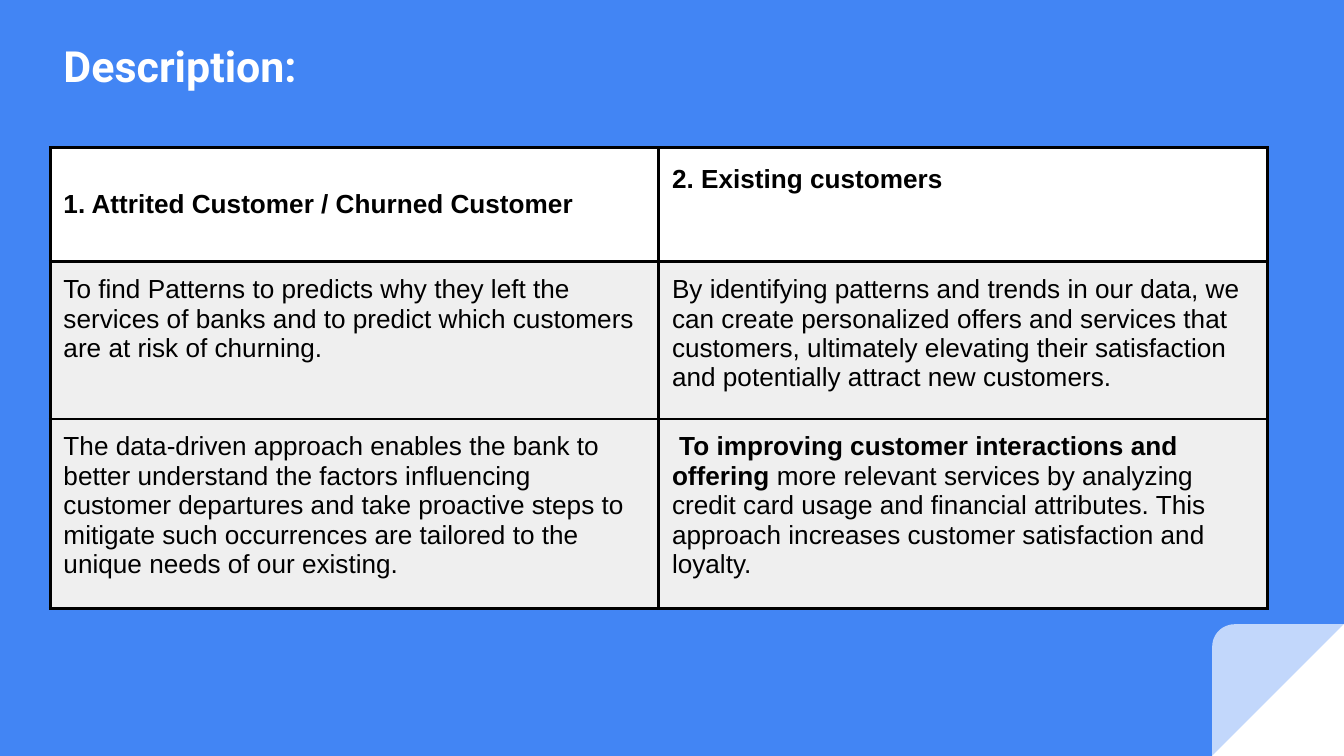
"""Build the customer description slide with its two-column table."""
from lxml import etree
from pptx import Presentation
from pptx.dml.color import RGBColor
from pptx.enum import shapes, text
from pptx.oxml import ns
from pptx.util import Cm, Pt

HUES = {"back": "4285F4", "white": "FFFFFF", "ink": "000000", "gray": "EFEFEF"}
TITLE = "Description:"
ROWS = [
    ("1. Attrited Customer / Churned Customer", "2. Existing customers"),
    ("To find Patterns to predicts why they left the services of banks and to "
     "predict which customers are at risk of churning.",
     "By identifying patterns and trends in our data, we can create personalized "
     "offers and services that customers, ultimately elevating their satisfaction "
     "and potentially attract new customers."),
    ("The data-driven approach enables the bank to better understand the factors "
     "influencing customer departures and take proactive steps to mitigate such "
     "occurrences are tailored to the unique needs of our existing.",
     [(" To improving customer interactions and offering ", True),
      ("more relevant services by analyzing credit card usage and financial "
       "attributes. This approach increases customer satisfaction and loyalty.",
       False)]),
]
WIDE, HIGH, FOLD = 25.4, 14.29, 2.49
LEFT, TOP, COL = 0.95, 2.79, 11.5
TALL = [2.16, 2.97, 3.58]
PAD = 0.25


def tint(name):
    return RGBColor.from_string(HUES[name])


def write(frame, words, font="Arial", size=14, hue="ink", bold=False, space=None):
    para = frame.paragraphs[0]
    para.alignment = text.PP_ALIGN.LEFT
    para.line_spacing = space
    for part, heavy in [(words, bold)] if isinstance(words, str) else words:
        run = para.add_run()
        run.text = part
        run.font.name, run.font.size, run.font.bold = font, Pt(size), heavy
        run.font.color.rgb = tint(hue)


def pad(box):
    box.margin_left = box.margin_right = box.margin_top = box.margin_bottom = Cm(PAD)
    box.vertical_anchor = text.MSO_ANCHOR.TOP


def edge(cell):
    props = cell._tc.get_or_add_tcPr()
    for spot, side in enumerate(("lnL", "lnR", "lnT", "lnB")):
        line = etree.Element(ns.qn("a:" + side), w=str(Pt(1.8)))
        fill = etree.SubElement(line, ns.qn("a:solidFill"))
        etree.SubElement(fill, ns.qn("a:srgbClr"), val=HUES["ink"])
        props.insert(spot, line)


def fold(slide, kind):
    part = slide.shapes.add_shape(
        kind, Cm(WIDE - FOLD), Cm(HIGH - FOLD), Cm(FOLD), Cm(FOLD))
    part.shadow.inherit = False
    part.fill.solid()
    part.fill.fore_color.rgb = tint("white")
    part.line.fill.background()
    part._element.spPr.get_or_add_xfrm().set("flipH", "1")
    return part


def main():
    deck = Presentation()
    deck.slide_width, deck.slide_height = Cm(WIDE), Cm(HIGH)
    slide = deck.slides.add_slide(deck.slide_layouts[5])
    slide.background.fill.solid()
    slide.background.fill.fore_color.rgb = tint("back")

    fold(slide, shapes.MSO_SHAPE.RIGHT_TRIANGLE)
    flap = fold(slide, shapes.MSO_SHAPE.ROUND_1_RECTANGLE)
    flap.adjustments[0] = 0.17
    shade = flap._element.spPr.find(".//" + ns.qn("a:srgbClr"))
    etree.SubElement(shade, ns.qn("a:alpha"), val="68000")

    head = slide.shapes.title
    head.left, head.top, head.width, head.height = Cm(LEFT), Cm(0.5), Cm(20.07), Cm(1.5)
    pad(head.text_frame)
    head.text_frame.auto_size = text.MSO_AUTO_SIZE.NONE
    write(head.text_frame, TITLE, font="Roboto", size=23, hue="white", bold=True)

    grid = slide.shapes.add_table(
        len(ROWS), 2, Cm(LEFT), Cm(TOP), Cm(2 * COL), Cm(sum(TALL))).table
    for col in grid.columns:
        col.width = Cm(COL)
    for r, (row, tall) in enumerate(zip(ROWS, TALL)):
        grid.rows[r].height = Cm(tall)
        for c, words in enumerate(row):
            cell = grid.cell(r, c)
            pad(cell)
            cell.fill.solid()
            cell.fill.fore_color.rgb = tint("gray" if r else "white")
            edge(cell)
            first = r == 0
            write(cell.text_frame, words, bold=first,
                  space=1.15 if first and c else None)
    grid.cell(0, 0).vertical_anchor = text.MSO_ANCHOR.MIDDLE
    deck.save("out.pptx")


if __name__ == "__main__":
    main()
